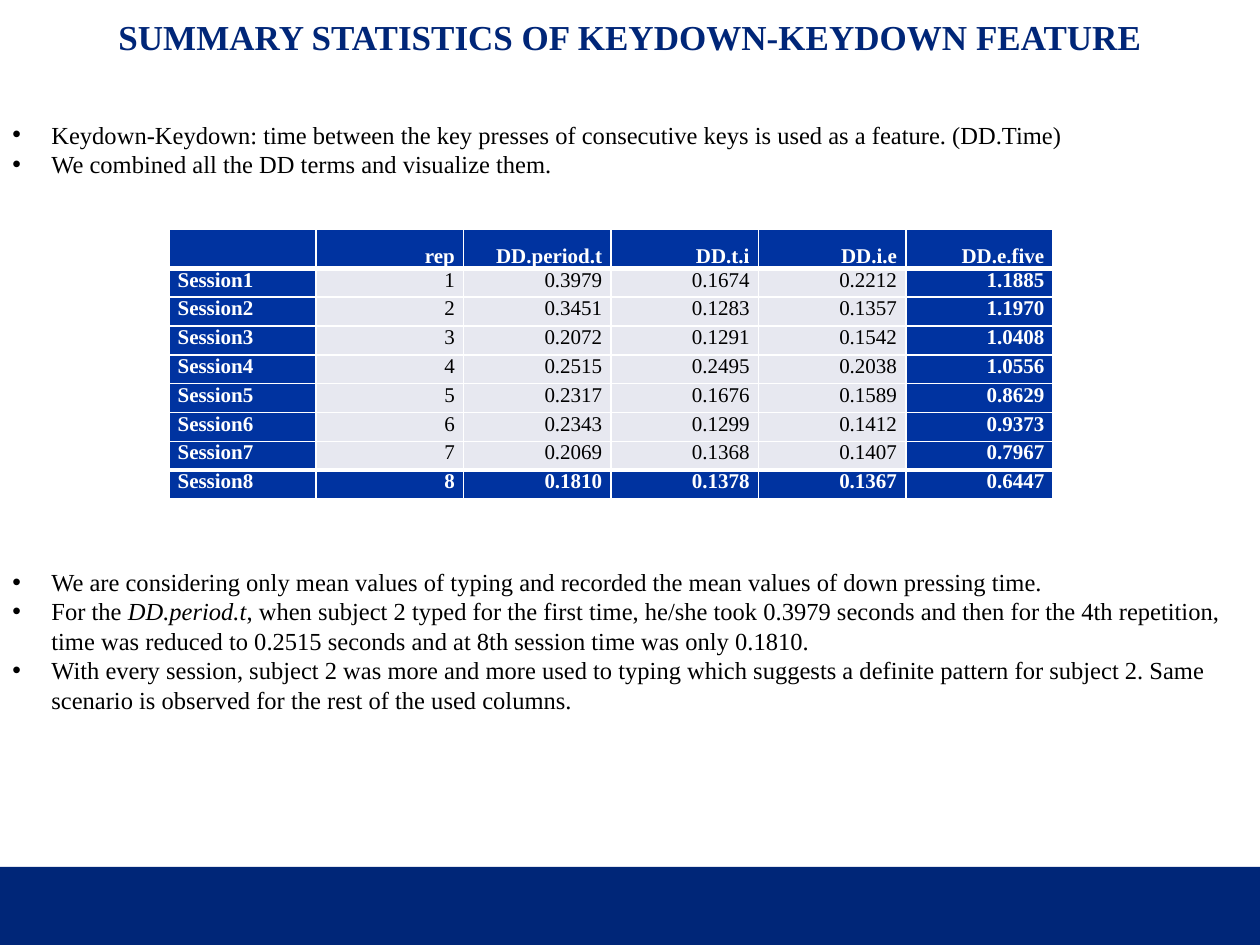
from dataclasses import dataclass

from lxml import etree
from pptx import Presentation
from pptx.dml.color import RGBColor
from pptx.enum.shapes import MSO_SHAPE
from pptx.enum.text import MSO_ANCHOR, PP_ALIGN
from pptx.oxml.ns import qn
from pptx.util import Inches, Pt

RECTANGLE = MSO_SHAPE.RECTANGLE
TOP, BOTTOM = MSO_ANCHOR.TOP, MSO_ANCHOR.BOTTOM
LEFT, CENTER, RIGHT = PP_ALIGN.LEFT, PP_ALIGN.CENTER, PP_ALIGN.RIGHT
COLUMNS, ROWS = 1000, 750
CELL = Inches(0.01)


@dataclass(frozen=True)
class Theme:
    font: str = "Times New Roman"
    navy: str = "002678"
    blue: str = "0033A0"
    pale: str = "E7E8F0"
    white: str = "FFFFFF"
    black: str = "000000"
    title_size: int = 20
    body_size: int = 14
    table_size: int = 12
    thin: int = 1
    thick: int = 3


THEME = Theme()

TITLE = "SUMMARY STATISTICS OF KEYDOWN-KEYDOWN FEATURE"
DEFINITION = [
    ["Keydown-Keydown: time between the key presses of consecutive keys is used as a feature. (DD.Time)"],
    ["We combined all the DD terms and visualize them."],
]
FINDINGS = [
    ["We are considering only mean values of typing and recorded the mean values of down pressing time. "],
    ["For the ", "DD.period.t",
     ", when subject 2 typed for the first time, he/she took 0.3979 seconds and then for the 4th repetition, "
     "time was reduced to 0.2515 seconds and at 8th session time was only 0.1810. "],
    ["With every session, subject 2 was more and more used to typing which suggests a definite pattern "
     "for subject 2. Same scenario is observed for the rest of the used columns."],
]
HEADER = ["", "rep", "DD.period.t", "DD.t.i", "DD.i.e", "DD.e.five"]
SESSIONS = [
    ["0.3979", "0.1674", "0.2212", "1.1885"],
    ["0.3451", "0.1283", "0.1357", "1.1970"],
    ["0.2072", "0.1291", "0.1542", "1.0408"],
    ["0.2515", "0.2495", "0.2038", "1.0556"],
    ["0.2317", "0.1676", "0.1589", "0.8629"],
    ["0.2343", "0.1299", "0.1412", "0.9373"],
    ["0.2069", "0.1368", "0.1407", "0.7967"],
    ["0.1810", "0.1378", "0.1367", "0.6447"],
]


def grid(box):
    return [CELL * units for units in box]


def style_font(font, size, color, bold=False, italic=False):
    font.name = THEME.font
    font.size = Pt(size)
    font.bold = bold
    font.italic = italic
    font.color.rgb = RGBColor.from_string(color)


def add_footer_band(slide, box):
    band = slide.shapes.add_shape(RECTANGLE, *grid(box))
    band.shadow.inherit = False
    band.fill.solid()
    band.fill.fore_color.rgb = RGBColor.from_string(THEME.navy)
    band.line.fill.background()


def add_title(slide, box):
    frame = slide.shapes.add_textbox(*grid(box)).text_frame
    frame.word_wrap = True
    frame.vertical_anchor = BOTTOM
    frame.margin_left = frame.margin_right = Inches(0.07)
    frame.margin_top = frame.margin_bottom = Inches(0.04)
    frame.text = TITLE
    paragraph = frame.paragraphs[0]
    paragraph.alignment = CENTER
    paragraph.line_spacing = 0.9
    style_font(paragraph.runs[0].font, THEME.title_size, THEME.navy, bold=True)


def add_bullets(slide, box, items):
    frame = slide.shapes.add_textbox(*grid(box)).text_frame
    frame.word_wrap = True
    for index, parts in enumerate(items):
        paragraph = frame.add_paragraph() if index else frame.paragraphs[0]
        properties = paragraph._p.get_or_add_pPr()
        properties.set("marL", str(Inches(0.31)))
        properties.set("indent", str(-Inches(0.31)))
        etree.SubElement(properties, qn("a:buFont"), typeface="Arial")
        etree.SubElement(properties, qn("a:buChar"), char="•")
        for position, text in enumerate(parts):
            run = paragraph.add_run()
            run.text = text
            style_font(run.font, THEME.body_size, THEME.black, italic=position == 1)


def set_borders(cell, widths):
    properties = cell._tc.get_or_add_tcPr()
    for index, (side, width) in enumerate(widths.items()):
        line = etree.Element(qn("a:ln" + side), w=str(Pt(width)))
        fill = etree.SubElement(line, qn("a:solidFill"))
        etree.SubElement(fill, qn("a:srgbClr"), val=THEME.white)
        properties.insert(index, line)


def fill_cell(cell, text, strong, alignment, anchor):
    cell.fill.solid()
    cell.fill.fore_color.rgb = RGBColor.from_string(THEME.blue if strong else THEME.pale)
    cell.margin_left = cell.margin_right = Inches(0.07)
    cell.margin_top = cell.margin_bottom = 0
    cell.vertical_anchor = anchor
    if not text:
        return
    cell.text_frame.text = text
    paragraph = cell.text_frame.paragraphs[0]
    paragraph.alignment = alignment
    paragraph.space_before = paragraph.space_after = Pt(1.8)
    color = THEME.white if strong else THEME.black
    style_font(paragraph.runs[0].font, THEME.table_size, color, bold=strong)


def add_statistics_table(slide, box, header_height):
    records = [HEADER] + [
        [f"Session{number}", str(number), *values] for number, values in enumerate(SESSIONS, 1)
    ]
    last_row, last_column = len(records) - 1, len(HEADER) - 1
    left, top, width, height = box
    table = slide.shapes.add_table(len(records), len(HEADER), *grid(box)).table
    for column in table.columns:
        column.width = CELL * (width // len(HEADER))
    for index, row in enumerate(table.rows):
        row.height = int(CELL * ((height - header_height) / last_row if index else header_height))
    for row, record in enumerate(records):
        for column, text in enumerate(record):
            cell = table.cell(row, column)
            strong = row in (0, last_row) or column in (0, last_column)
            fill_cell(cell, text, strong, RIGHT if column else LEFT, TOP if row else BOTTOM)
            set_borders(cell, {
                "L": THEME.thin,
                "R": THEME.thin,
                "T": THEME.thick if row in (1, last_row) else THEME.thin,
                "B": THEME.thick if row in (0, last_row - 1) else THEME.thin,
            })


def build_slide(presentation):
    slide = presentation.slides.add_slide(presentation.slide_layouts[6])
    add_footer_band(slide, (0, 688, COLUMNS, ROWS - 688))
    add_title(slide, (0, 10, COLUMNS, 40))
    add_bullets(slide, (0, 90, COLUMNS, 57), DEFINITION)
    add_statistics_table(slide, (134, 182, 702, 214), header_height=31)
    add_bullets(slide, (0, 445, COLUMNS, 151), FINDINGS)


presentation = Presentation()
presentation.slide_width = CELL * COLUMNS
presentation.slide_height = CELL * ROWS
build_slide(presentation)
presentation.save("out.pptx")
